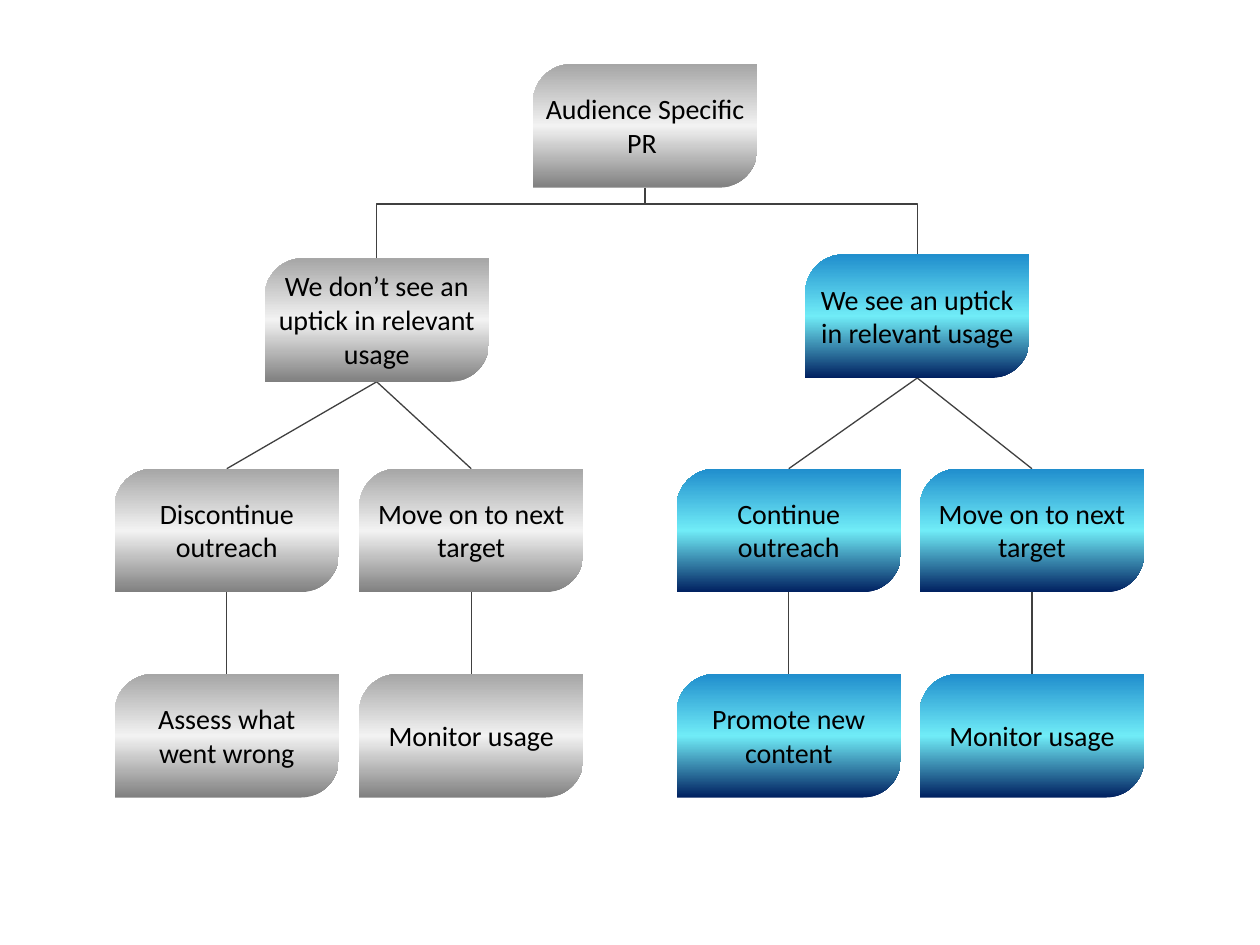
import copy
from collections import namedtuple

import pptx
import pptx.dml.color
import pptx.enum.shapes
import pptx.enum.text
import pptx.oxml.ns
import pptx.util

COLORS = {
    "line": "404040",
    "text": "000000",
    "grey": ["808080", "F2F2F2", "A6A6A6"],
    "blue": ["002060", "70ECF7", "208ECD"],
}
SLIDE_WIDTH, SLIDE_HEIGHT = pptx.util.Inches(10), pptx.util.Inches(7.5)
COLUMNS, ROWS = 100, 75
CARD_WIDTH, CARD_HEIGHT = 17.8, 9.8
LEAF_TOPS = (17, 33.3)
FORK_ROW = 16.2

Box = namedtuple("Box", "left top width height")


def across(columns):
    """Turn grid columns into a length."""
    return round(SLIDE_WIDTH * columns / COLUMNS)


def down(rows):
    """Turn grid rows into a length."""
    return round(SLIDE_HEIGHT * rows / ROWS)


def rgb(value):
    """Turn a hex string into a colour."""
    return pptx.dml.color.RGBColor.from_string(value)


def card_box(left, top):
    """Return the box of a card at the given corner."""
    return Box(left, top, CARD_WIDTH, CARD_HEIGHT)


def top_of(box):
    """Return the middle of the upper edge."""
    return box.left + box.width / 2, box.top


def bottom_of(box):
    """Return the middle of the lower edge."""
    return box.left + box.width / 2, box.top + box.height


def add_line(slide, start, end, bent=False):
    """Join two grid points, straight or with one corner."""
    kinds = pptx.enum.shapes.MSO_CONNECTOR
    connector = slide.shapes.add_connector(
        kinds.ELBOW if bent else kinds.STRAIGHT,
        across(start[0]), down(start[1]), across(end[0]), down(end[1]))
    connector.line.color.rgb = rgb(COLORS["line"])
    connector.line.width = pptx.util.Pt(0.75)
    properties = connector.element.spPr
    if bent:
        properties.find(pptx.oxml.ns.qn("a:prstGeom")).set("prst", "bentConnector2")
    properties.append(pptx.oxml.parse_xml(f"<a:effectLst {pptx.oxml.ns.nsdecls('a')}/>"))


def fill_gradient(shape, colors):
    """Fill a shape with an even gradient rising from its lower edge."""
    shape.fill.gradient()
    shape.fill.gradient_angle = 90
    stop_list = shape.element.spPr.find(".//" + pptx.oxml.ns.qn("a:gsLst"))
    stop_list.append(copy.deepcopy(stop_list[-1]))
    for index, (stop, color) in enumerate(zip(shape.fill.gradient_stops, colors)):
        stop.position = index / (len(colors) - 1)
        stop.color.rgb = rgb(color)


def add_card(slide, box, text, theme, lines=2):
    """Place a gradient card with a label centred on it."""
    shape = slide.shapes.add_shape(
        pptx.enum.shapes.MSO_SHAPE.ROUND_2_DIAG_RECTANGLE,
        across(box.left), down(box.top), across(box.width), down(box.height))
    shape.adjustments[0] = 0.31
    shape.shadow.inherit = False
    shape.line.fill.background()
    fill_gradient(shape, COLORS[theme])

    label_height = 1 + 2.7 * lines
    label = slide.shapes.add_textbox(
        across(box.left), down(box.top + (box.height - label_height) / 2),
        across(box.width), down(label_height))
    frame = label.text_frame
    frame.word_wrap = True
    frame.auto_size = pptx.enum.text.MSO_AUTO_SIZE.SHAPE_TO_FIT_TEXT
    paragraph = frame.paragraphs[0]
    paragraph.alignment = pptx.enum.text.PP_ALIGN.CENTER
    run = paragraph.add_run()
    run.text = text
    run.font.name = "Calibri"
    run.font.size = pptx.util.Pt(16)
    run.font.color.rgb = rgb(COLORS["text"])


def add_branch(slide, box, fork, head, leaves, theme):
    """Place a head card over two columns of leaf cards."""
    head_shift, head_drop, head_text, head_lines = head
    head_box = card_box(box.left + head_shift, box.top + head_drop)
    add_line(slide, fork, top_of(head_box), bent=True)
    lefts = (box.left, box.left + box.width - CARD_WIDTH)
    for left, labels in zip(lefts, leaves):
        above = head_box
        for leaf_top, (text, lines) in zip(LEAF_TOPS, labels):
            leaf_box = card_box(left, box.top + leaf_top)
            add_line(slide, bottom_of(above), top_of(leaf_box))
            add_card(slide, leaf_box, text, theme, lines)
            above = leaf_box
    add_card(slide, head_box, head_text, theme, head_lines)


def add_root(slide, box):
    """Place the root card with its stem and return the fork point."""
    fork = (bottom_of(box)[0], FORK_ROW)
    add_line(slide, bottom_of(box), fork)
    add_card(slide, box, "Audience Specific PR ", "grey")
    return fork


def main():
    """Build the decision tree slide."""
    presentation = pptx.Presentation()
    presentation.slide_width, presentation.slide_height = SLIDE_WIDTH, SLIDE_HEIGHT
    slide = presentation.slides.add_slide(presentation.slide_layouts[6])
    fork = add_root(slide, card_box(42.3, 5.1))
    next_target = [("Move on to next target", 2), ("Monitor usage", 1)]
    add_branch(
        slide, Box(9.1, 20.2, 37.2, 43.1), fork,
        (11.9, 0.3, "We don’t see an uptick in relevant usage", 3),
        [[("Discontinue outreach", 2), ("Assess what went wrong", 2)], next_target],
        "grey")
    add_branch(
        slide, Box(53.7, 20.2, 37.1, 43.1), fork,
        (10.2, 0, "We see an uptick in relevant usage", 2),
        [[("Continue outreach", 2), ("Promote new content", 2)], next_target],
        "blue")
    presentation.save("out.pptx")


if __name__ == "__main__":
    main()
